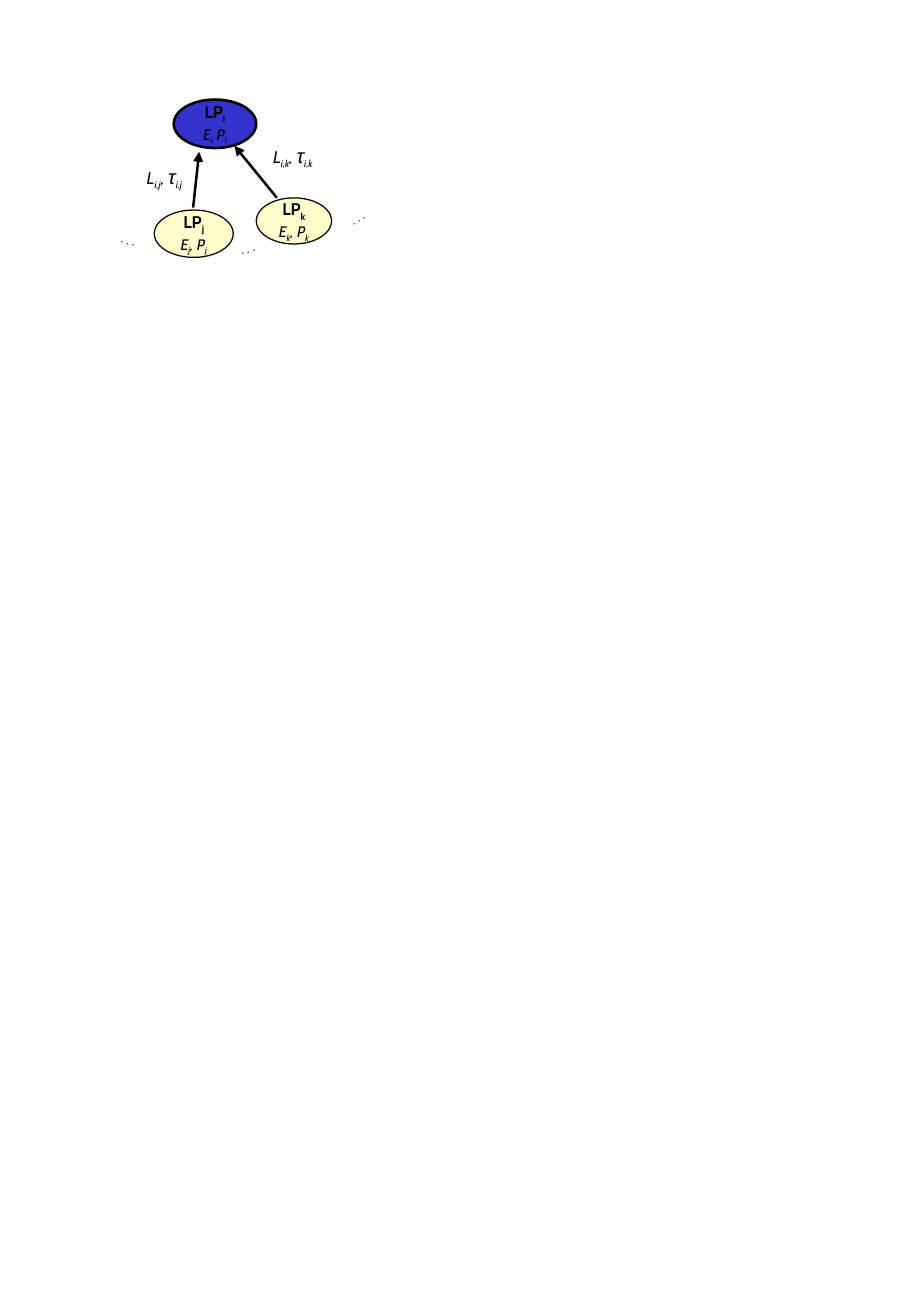
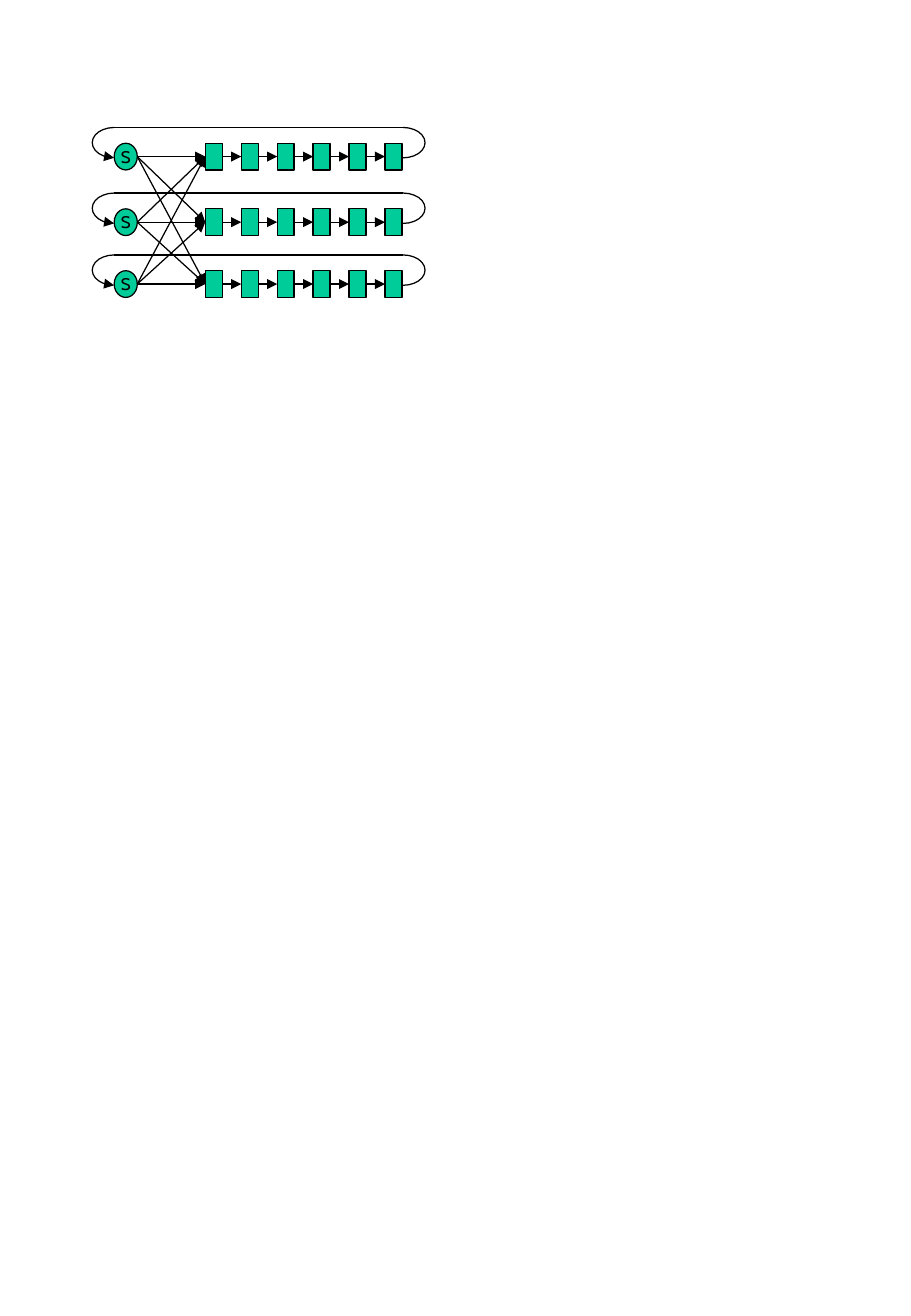
from lxml import etree
from pptx import Presentation
from pptx.dml.color import RGBColor
from pptx.enum.shapes import MSO_CONNECTOR, MSO_SHAPE
from pptx.enum.text import MSO_ANCHOR, MSO_AUTO_SIZE, PP_ALIGN
from pptx.oxml.ns import qn
from pptx.util import Inches, Pt

ELLIPSE, RECTANGLE, ARC = MSO_SHAPE.OVAL, MSO_SHAPE.RECTANGLE, MSO_SHAPE.ARC
STRAIGHT = MSO_CONNECTOR.STRAIGHT
CENTER, MIDDLE = PP_ALIGN.CENTER, MSO_ANCHOR.MIDDLE
GROW = MSO_AUTO_SIZE.SHAPE_TO_FIT_TEXT
LEFT_SIDE, RIGHT_SIDE = 1, 3

FONT, SYMBOL_FONT = "Cabin", "Arial"
BLACK, BLUE, CREAM, GREEN = "000000", "3333CC", "FFFFCC", "00CC99"
THIN, THICK = 0.75, 1.5

# Queueing network geometry, in inches
ROW_CENTERS = (1.29, 1.83, 2.34)
SOURCE_LEFT, SOURCE_WIDTH, NODE_HEIGHT = 0.94, 0.19, 0.22
SERVER_LEFT, SERVER_WIDTH, SERVER_COUNT = 1.69, 0.14, 6
SERVER_PITCH = (3.17 - SERVER_LEFT) / (SERVER_COUNT - 1)
LOOP_LEFT, LOOP_RIGHT, LOOP_RISE = 0.94, 3.32, 0.24
LOOP_WIDTH, LOOP_HEIGHT = 0.36, 0.25


def rgb(color):
    return RGBColor.from_string(color)


def style_line(shape, width, **arrow_ends):
    """Black outline; arrow_ends may give headEnd or tailEnd types."""
    shape.line.color.rgb = rgb(BLACK)
    shape.line.width = Pt(width)
    for end, kind in arrow_ends.items():
        etree.SubElement(shape.line._get_or_add_ln(), qn("a:" + end), type=kind)


def add_shape(slide, kind, box, fill=None, width=THIN):
    shape = slide.shapes.add_shape(kind, *map(Inches, box))
    shape.shadow.inherit = False
    if fill:
        shape.fill.solid()
        shape.fill.fore_color.rgb = rgb(fill)
    else:
        shape.fill.background()
    style_line(shape, width)
    return shape


def add_line(slide, start, end, width=THIN, arrow=True):
    line = slide.shapes.add_connector(STRAIGHT, *map(Inches, start + end))
    style_line(line, width, **({"tailEnd": "triangle"} if arrow else {}))
    etree.SubElement(line._element.spPr, qn("a:effectLst"))
    return line


def add_run(paragraph, text, size, bold=False, italic=False, subscript=False, font=FONT):
    run = paragraph.add_run()
    run.text = text
    run.font.name, run.font.size = font, Pt(size)
    run.font.bold, run.font.italic = bold, italic
    run.font.color.rgb = rgb(BLACK)
    if subscript:
        run._r.get_or_add_rPr().set("baseline", "-25000")


def center_text(shape):
    frame = shape.text_frame
    frame.word_wrap = False
    frame.vertical_anchor = MIDDLE
    frame.margin_left = frame.margin_right = Inches(0.1)
    frame.margin_top = frame.margin_bottom = Inches(0.05)
    frame.paragraphs[0].alignment = CENTER
    return frame.paragraphs[0]


def add_label(slide, box, rotation=0):
    label = slide.shapes.add_textbox(*map(Inches, box))
    label.rotation = rotation
    label.text_frame.word_wrap = False
    label.text_frame.auto_size = GROW
    return label.text_frame.paragraphs[0]


# Logical process tree
def add_process(slide, box, index, parameters, fill, width=THIN):
    """Parameters alternate between normal and subscript text."""
    paragraph = center_text(add_shape(slide, ELLIPSE, box, fill, width))
    add_run(paragraph, "LP", 10, bold=True)
    add_run(paragraph, index, 10, bold=True, subscript=True)
    paragraph.add_line_break()
    for position, text in enumerate(parameters):
        add_run(paragraph, text, 9, italic=True, subscript=position % 2 == 1)


def add_link_label(slide, box, indices):
    paragraph = add_label(slide, box)
    add_run(paragraph, "L", 10, italic=True)
    add_run(paragraph, indices, 10, italic=True, subscript=True)
    add_run(paragraph, ", ", 10, italic=True)
    add_run(paragraph, "τ", 12, italic=True, font=SYMBOL_FONT)
    add_run(paragraph, indices, 10, italic=True, subscript=True)


def build_process_tree(slide):
    add_process(slide, (1.43, 0.82, 0.68, 0.4), "i", ("E", "i, ", "P", "i"), BLUE, THICK)
    add_process(slide, (2.11, 1.63, 0.62, 0.38), "k", ("E", "k", ", P", "k"), CREAM)
    add_process(slide, (1.27, 1.73, 0.65, 0.39), "j", ("E", "j", ", P", "j"), CREAM)
    add_line(slide, (1.59, 1.71), (1.64, 1.25), THICK)
    add_line(slide, (2.28, 1.63), (1.93, 1.2), THICK)
    for left, top, rotation in ((2.78, 1.66, 329.2), (0.9, 1.86, 13.9), (1.88, 1.92, 347.5)):
        add_run(add_label(slide, (left, top, 0.35, 0.24), rotation), ". . .", 8)
    add_link_label(slide, (2.15, 1.13, 0.55, 0.32), "i,k")
    add_link_label(slide, (1.11, 1.3, 0.53, 0.32), "i,j")


# Queueing network
def add_loop_end(slide, center_x, top, start, end):
    """Half ellipse between two angles in degrees, clockwise from the right."""
    arc = add_shape(slide, ARC, (center_x - LOOP_WIDTH / 2, top, LOOP_WIDTH, LOOP_HEIGHT))
    arc.adjustments[0], arc.adjustments[1] = start * 0.6, end * 0.6
    return arc


def add_row(slide, center):
    """One source, its chain of servers and the return loop; gives the first server."""
    top = center - NODE_HEIGHT / 2
    source = add_shape(slide, ELLIPSE, (SOURCE_LEFT, top, SOURCE_WIDTH, NODE_HEIGHT), GREEN)
    add_run(center_text(source), "S", 10)
    servers = [
        add_shape(slide, RECTANGLE,
                  (SERVER_LEFT + i * SERVER_PITCH, top, SERVER_WIDTH, NODE_HEIGHT), GREEN)
        for i in range(SERVER_COUNT)
    ]
    for server, following in zip(servers, servers[1:]):
        arrow = add_line(slide, (0, 0), (0, 0))
        arrow.begin_connect(server, RIGHT_SIDE)
        arrow.end_connect(following, LEFT_SIDE)

    loop_top = center - LOOP_RISE
    add_loop_end(slide, LOOP_RIGHT, loop_top, 270, 90)
    left_end = add_loop_end(slide, LOOP_LEFT, loop_top, 90, 270)
    style_line(left_end, THIN, headEnd="triangle")
    add_line(slide, (LOOP_LEFT, loop_top), (LOOP_RIGHT, loop_top), arrow=False)
    return servers[0]


def build_queueing_network(slide):
    first_servers = [add_row(slide, center) for center in ROW_CENTERS]
    # Every source feeds the first server of every row
    for center in ROW_CENTERS:
        for server in first_servers:
            start = (SOURCE_LEFT + SOURCE_WIDTH, center)
            add_line(slide, start, (SERVER_LEFT, center)).end_connect(server, LEFT_SIDE)


def main():
    presentation = Presentation()
    presentation.slide_width, presentation.slide_height = Inches(7.5), Inches(10.84)
    blank = presentation.slide_layouts.get_by_name("Blank")
    for build in (build_process_tree, build_queueing_network):
        build(presentation.slides.add_slide(blank))
    presentation.save("out.pptx")


if __name__ == "__main__":
    main()
